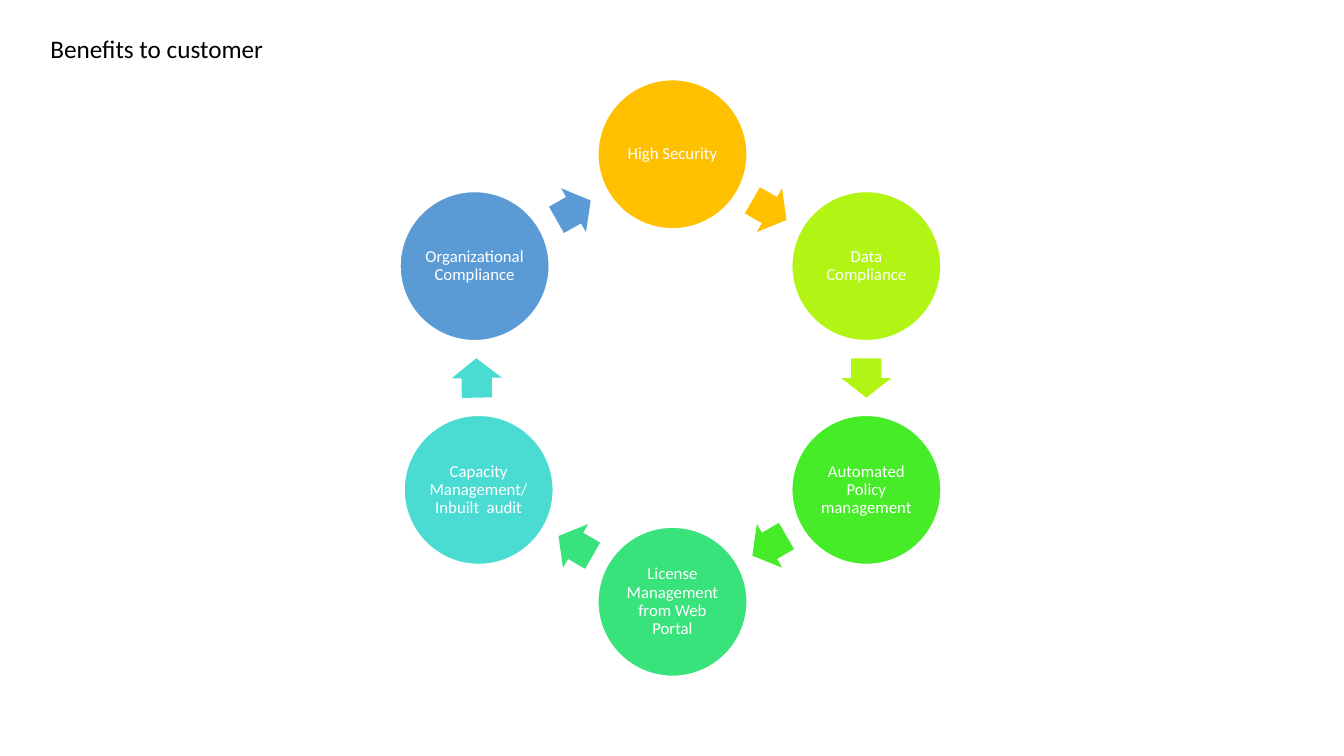
import math
from dataclasses import dataclass

import pptx
import pptx.dml.color
import pptx.enum.shapes
import pptx.enum.text
import pptx.util
from pptx.util import Inches


@dataclass(frozen=True)
class Theme:
    font: str = "Calibri"
    title_size: int = 18
    benefit_size: int = 12
    title_color: str = "000000"
    light: str = "FFFFFF"
    cycle_colors: tuple = ("FFC000", "B2F514", "46EC27", "39E37B", "4ADCD2", "5B9BD5")


THEME = Theme()
BENEFITS = (
    "High Security",
    "Data Compliance",
    "Automated Policy management",
    "License Management from Web Portal",
    "Capacity Management/Inbuilt  audit",
    "Organizational Compliance",
)
CYCLE_CENTER = (6.67, 3.75)
CYCLE_RADIUS = 2.22
CIRCLE_SIZE = 1.48
ARROW_LENGTH, ARROW_HEIGHT = 0.39, 0.5
LAST_CIRCLE_SHIFT = -0.04
CIRCLE_INSET = 0.02


def rgb(color):
    return pptx.dml.color.RGBColor.from_string(color)


def format_text(paragraph, size, color, alignment):
    paragraph.alignment = alignment
    paragraph.font.name = THEME.font
    paragraph.font.size = pptx.util.Pt(size)
    paragraph.font.color.rgb = rgb(color)


def add_title(slide, wording):
    title = slide.shapes.title
    title.left, title.top = Inches(0.4), Inches(0.28)
    title.width, title.height = Inches(5.08), Inches(0.4)
    frame = title.text_frame
    frame.text = wording
    frame.auto_size = pptx.enum.text.MSO_AUTO_SIZE.NONE
    frame.vertical_anchor = pptx.enum.text.MSO_ANCHOR.TOP
    format_text(frame.paragraphs[0], THEME.title_size, THEME.title_color,
                pptx.enum.text.PP_ALIGN.LEFT)


def add_centered(slide, kind, center, width, height, color):
    x, y = center
    shape = slide.shapes.add_shape(kind, Inches(x - width / 2), Inches(y - height / 2),
                                   Inches(width), Inches(height))
    shape.shadow.inherit = False
    shape.fill.solid()
    shape.fill.fore_color.rgb = rgb(color)
    return shape


def add_benefit(slide, center, wording, color):
    circle = add_centered(slide, pptx.enum.shapes.MSO_SHAPE.OVAL, center,
                          CIRCLE_SIZE, CIRCLE_SIZE, color)
    circle.line.color.rgb = rgb(THEME.light)
    circle.line.width = pptx.util.Pt(1)
    frame = circle.text_frame
    frame.word_wrap = True
    frame.vertical_anchor = pptx.enum.text.MSO_ANCHOR.MIDDLE
    frame.margin_left = frame.margin_right = Inches(CIRCLE_INSET)
    frame.margin_top = frame.margin_bottom = Inches(CIRCLE_INSET)
    frame.text = wording
    label = frame.paragraphs[0]
    label.line_spacing = 0.9
    format_text(label, THEME.benefit_size, THEME.light, pptx.enum.text.PP_ALIGN.CENTER)


def add_arrow(slide, start, end, color):
    middle = ((start[0] + end[0]) / 2, (start[1] + end[1]) / 2)
    arrow = add_centered(slide, pptx.enum.shapes.MSO_SHAPE.RIGHT_ARROW, middle,
                         ARROW_LENGTH, ARROW_HEIGHT, color)
    arrow.line.fill.background()
    arrow.adjustments[0] = 0.6
    arrow.adjustments[1] = 0.5
    arrow.rotation = math.degrees(math.atan2(end[1] - start[1], end[0] - start[0])) % 360


def cycle_centers(count):
    centers = []
    for position in range(count):
        angle = math.tau * position / count
        centers.append((CYCLE_CENTER[0] + CYCLE_RADIUS * math.sin(angle),
                        CYCLE_CENTER[1] - CYCLE_RADIUS * math.cos(angle)))
    last_x, last_y = centers[-1]
    centers[-1] = (last_x + LAST_CIRCLE_SHIFT, last_y)
    return centers


def add_cycle(slide):
    centers = cycle_centers(len(BENEFITS))
    next_centers = centers[1:] + centers[:1]
    for wording, color, center, following in zip(BENEFITS, THEME.cycle_colors,
                                                 centers, next_centers):
        add_benefit(slide, center, wording, color)
        add_arrow(slide, center, following, color)


def main():
    presentation = pptx.Presentation()
    presentation.slide_width = Inches(13.33)
    presentation.slide_height = Inches(7.5)
    slide = presentation.slides.add_slide(presentation.slide_layouts.get_by_name("Title Only"))
    add_title(slide, "Benefits to customer")
    add_cycle(slide)
    presentation.save("out.pptx")


if __name__ == "__main__":
    main()
